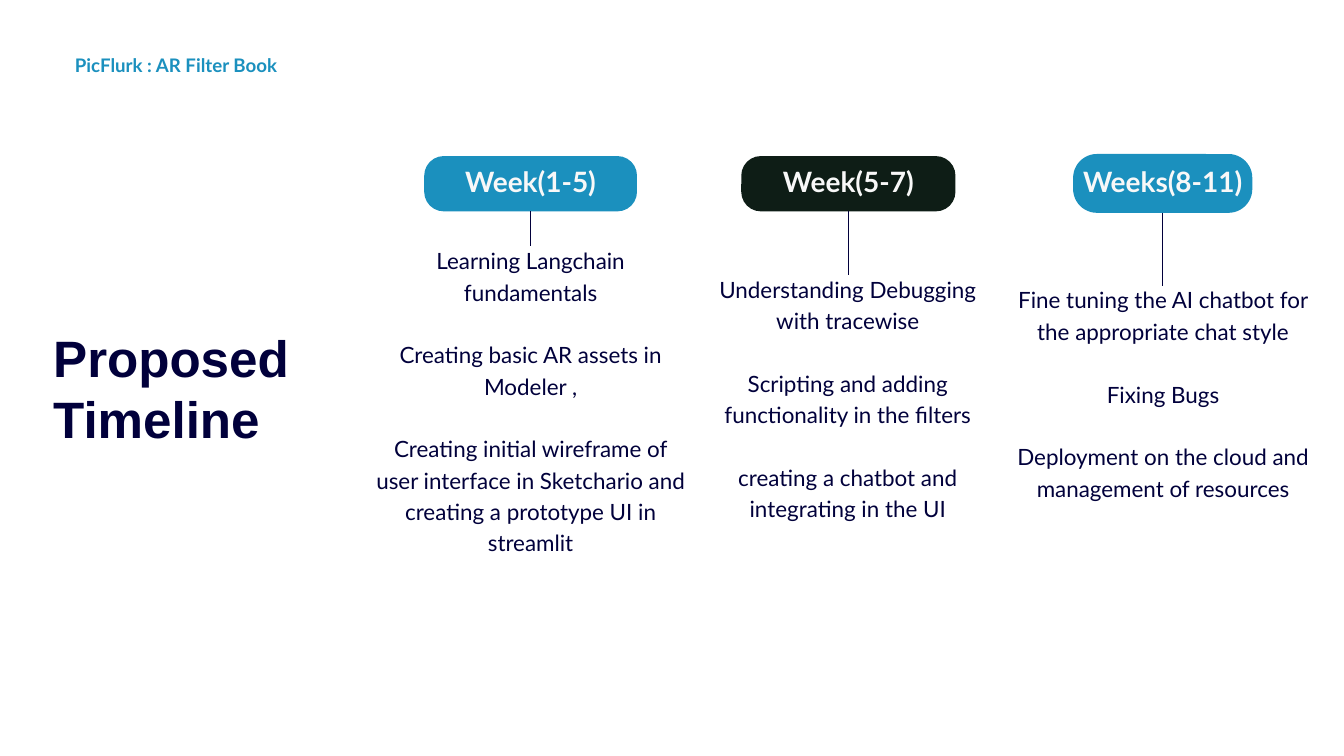
"""Build the proposed timeline slide with three week columns."""
from dataclasses import dataclass

from lxml import etree
from pptx import Presentation
from pptx.dml.color import RGBColor
from pptx.enum.shapes import MSO_CONNECTOR, MSO_SHAPE
from pptx.enum.text import MSO_ANCHOR, PP_ALIGN
from pptx.oxml.ns import qn
from pptx.slide import Slide
from pptx.util import Emu, Pt

PX = 9525
BLUE = RGBColor(0x1B, 0x90, 0xBE)
DARK = RGBColor(0x0E, 0x1D, 0x16)
NAVY = RGBColor(0x01, 0x00, 0x3B)
PALE = RGBColor(0xF8, 0xF8, 0xF8)
ROUND = MSO_SHAPE.ROUNDED_RECTANGLE
STRAIGHT = MSO_CONNECTOR.STRAIGHT
LEFT, CENTER = PP_ALIGN.LEFT, PP_ALIGN.CENTER
TOP, MIDDLE = MSO_ANCHOR.TOP, MSO_ANCHOR.MIDDLE
LIFT = 15


@dataclass(frozen=True)
class Box:
    left: int
    top: int
    width: int
    height: int

    def emu(self) -> list[Emu]:
        return [Emu(n * PX) for n in (self.left, self.top, self.width, self.height)]


@dataclass(frozen=True)
class Style:
    size: float
    line: float
    color: RGBColor
    bold: bool = True
    font: str = "Lato"
    align: PP_ALIGN = LEFT
    anchor: MSO_ANCHOR = TOP
    gap: float = 0


@dataclass(frozen=True)
class Phase:
    label: str
    fill: RGBColor
    pill: Box
    radius: int
    body: Box
    stem: int
    tasks: tuple[str, ...]


HEADER = Style(20, 28, BLUE)
TITLE = Style(54.8, 65.8, NAVY, font="Arial")
LABEL = Style(30, 42, PALE, align=CENTER, anchor=MIDDLE)
TASK = Style(24, 33.6, NAVY, bold=False, align=CENTER, gap=33.6)

PHASES = (
    Phase("Week(1-5)", BLUE, Box(606, 223, 304, 79), 28, Box(536, 347, 444, 437), 352, (
        "Learning Langchain fundamentals",
        "Creating basic AR assets in Modeler ,",
        "Creating initial wireframe of user interface in Sketchario and "
        "creating a prototype UI in streamlit",
    )),
    Phase("Week(5-7)", DARK, Box(1059, 223, 306, 79), 28, Box(1001, 388, 420, 395), 393, (
        "Understanding Debugging with tracewise",
        "Scripting and adding functionality in the filters",
        "creating a chatbot and integrating in the UI",
    )),
    Phase("Weeks(8-11)", BLUE, Box(1533, 220, 256, 84), 34, Box(1433, 403, 457, 350), 408, (
        "Fine tuning the AI chatbot for the appropriate chat style",
        "Fixing Bugs",
        "Deployment on the cloud and management of resources",
    )),
)


def write(slide: Slide, box: Box, style: Style, *lines: str) -> None:
    frame = slide.shapes.add_textbox(*box.emu()).text_frame
    frame.word_wrap = True
    frame.vertical_anchor = style.anchor
    frame.margin_left = frame.margin_right = 0
    frame.margin_top = frame.margin_bottom = 0
    frame.text = "\n".join(lines)
    for i, para in enumerate(frame.paragraphs):
        para.alignment = style.align
        para.line_spacing = Pt(style.line)
        para.space_before = Pt(style.gap if i else 0)
        para.font.name = style.font
        para.font.size = Pt(style.size)
        para.font.bold = style.bold
        para.font.color.rgb = style.color


def draw(slide: Slide, phase: Phase) -> None:
    box = phase.pill
    pill = slide.shapes.add_shape(ROUND, *box.emu())
    pill.adjustments[0] = phase.radius / box.height
    pill.shadow.inherit = False
    pill.fill.solid()
    pill.fill.fore_color.rgb = phase.fill
    pill.line.fill.background()
    label = Box(box.left, box.top - LIFT, box.width, box.height + LIFT)
    write(slide, label, LABEL, phase.label)

    x = Emu((box.left + box.width // 2) * PX)
    y = Emu((box.top + box.height) * PX)
    stem = slide.shapes.add_connector(STRAIGHT, x, y, x, Emu(phase.stem * PX))
    stem.line.color.rgb = NAVY
    stem.line.width = Pt(0.75)
    etree.SubElement(stem._element.spPr, qn("a:effectLst"))
    write(slide, phase.body, TASK, *phase.tasks)


def main() -> None:
    deck = Presentation()
    deck.slide_width = Emu(1920 * PX)
    deck.slide_height = Emu(1080 * PX)
    slide = deck.slides.add_slide(deck.slide_layouts[6])
    write(slide, Box(107, 72, 427, 36), HEADER, "PicFlurk : AR Filter Book")
    write(slide, Box(76, 466, 387, 176), TITLE, "Proposed Timeline")
    for phase in PHASES:
        draw(slide, phase)
    deck.save("out.pptx")


if __name__ == "__main__":
    main()
